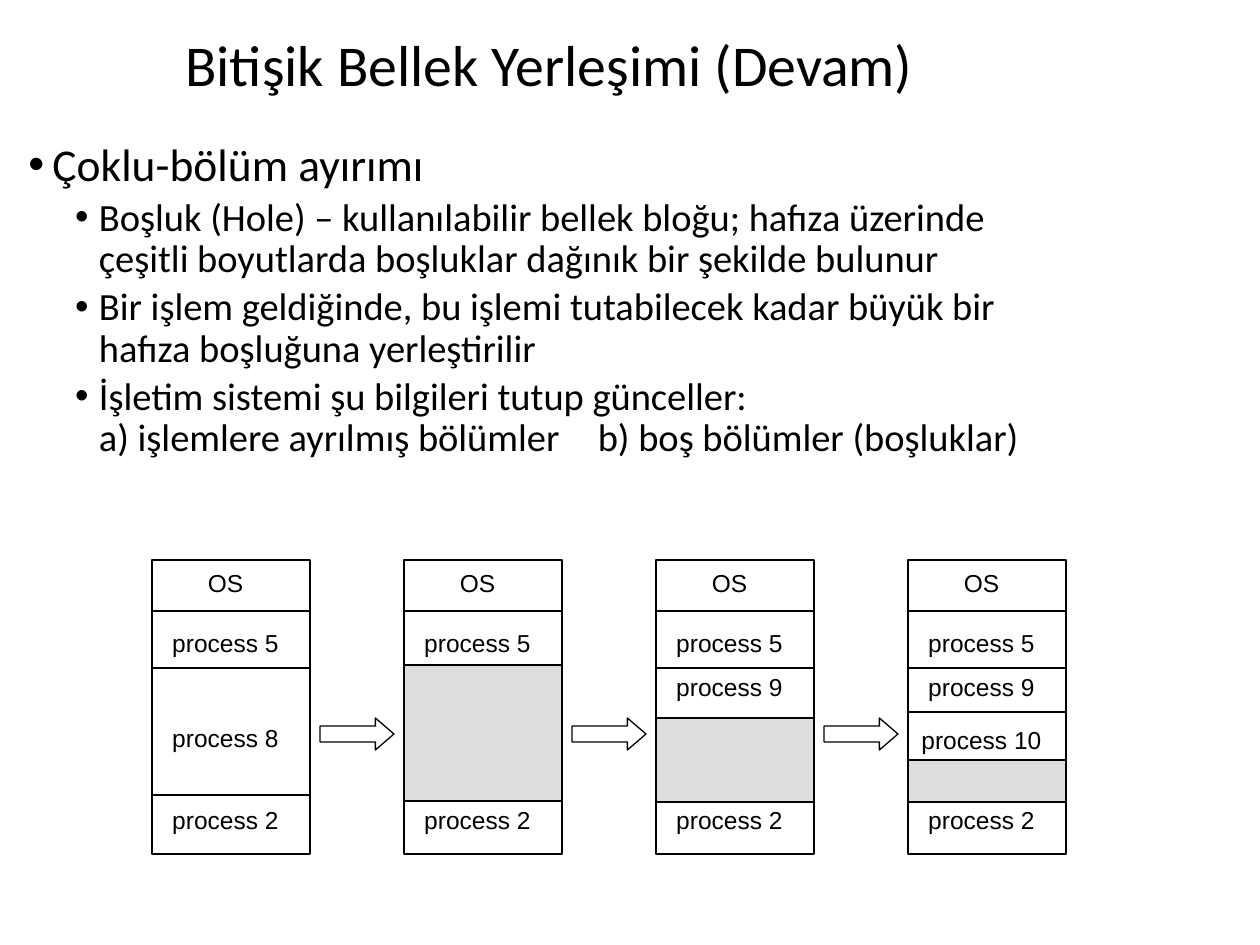
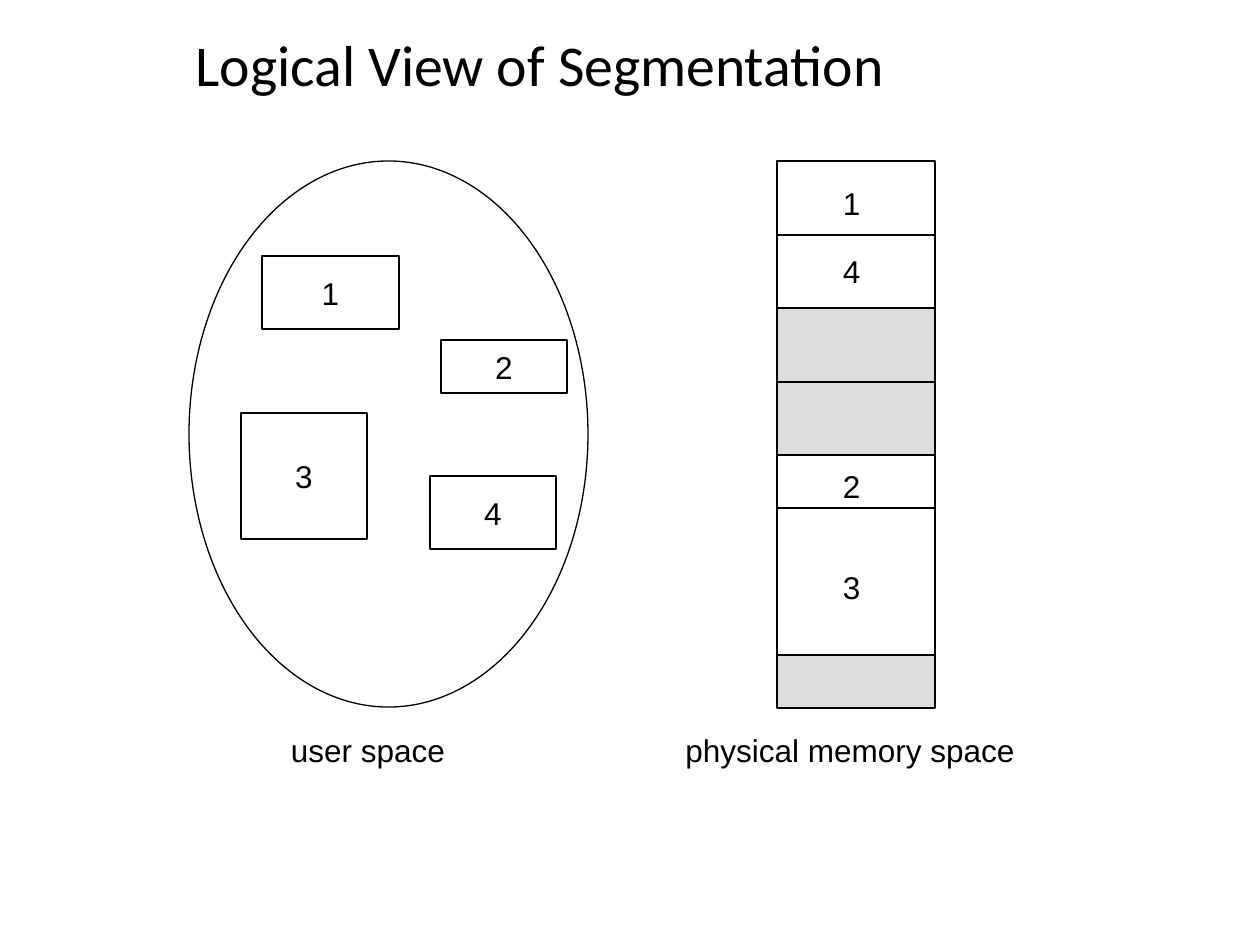
from lxml import etree
from pptx import Presentation
from pptx import util as u
from pptx.dml.color import RGBColor
from pptx.enum import shapes, text
from pptx.oxml import ns

SCALE = 914400 / 126  # EMU per pixel
BLACK, WHITE, FREE = "000000", "FFFFFF", "DDDDDD"
colour = RGBColor.from_string
RECT = shapes.MSO_SHAPE.RECTANGLE
MIDDLE, TOP = text.MSO_ANCHOR.MIDDLE, text.MSO_ANCHOR.TOP
CENTRE, LEFT = text.PP_ALIGN.CENTER, text.PP_ALIGN.LEFT

# Shared text styles: font, paragraph, frame
TITLE = ({"name": "Calibri", "size": u.Pt(33)},
         {"alignment": LEFT, "line_spacing": 0.9},
         {"word_wrap": True, "vertical_anchor": MIDDLE})
BODY = ({"name": "Calibri", "size": u.Pt(22)},
        {"alignment": LEFT, "line_spacing": 0.9, "space_before": u.Pt(3.7)},
        {"word_wrap": True, "vertical_anchor": TOP})
PROCESS = ({"name": "Arial", "size": u.Pt(14)},
           {"alignment": CENTRE, "space_before": u.Pt(8.8)},
           {"word_wrap": True, "vertical_anchor": MIDDLE})
SEGMENT = ({"name": "Arial", "size": u.Pt(18)},
           {"alignment": CENTRE},
           {"word_wrap": False, "vertical_anchor": MIDDLE})


def add_box(area, at, kind=None, fill=WHITE, words="", style=SEGMENT):
    """Add an outlined shape, or a plain text box when no kind is given."""
    at = [round(length * SCALE) for length in at]
    if kind is None:
        box = area.add_textbox(*at)
    else:
        box = area.add_shape(kind, *at)
        box.shadow.inherit = False
        box.fill.solid()
        box.fill.fore_color.rgb = colour(fill)
        box.line.color.rgb = colour(BLACK)
        box.line.width = u.Pt(0.74)
    if words:
        font, paragraph_format, frame_format = style
        frame = box.text_frame
        frame.text = words
        targets = [(frame, frame_format)]
        for paragraph in frame.paragraphs:
            targets.append((paragraph, paragraph_format))
            for run in paragraph.runs:
                targets.append((run.font, font))
                run.font.color.rgb = colour(BLACK)
        for target, values in targets:
            for name, value in values.items():
                setattr(target, name, value)
    return box


def add_divider(area, left, y, width):
    """Add a thin horizontal line across a memory column."""
    ends = [round(length * SCALE) for length in (left, y, left + width, y)]
    line = area.add_connector(shapes.MSO_CONNECTOR.STRAIGHT, *ends)
    line.line.color.rgb = colour(BLACK)
    line.line.width = u.Pt(0.74)
    etree.SubElement(line._element.spPr, ns.qn("a:effectLst"))


deck = Presentation()
deck.slide_width, deck.slide_height = u.Inches(10), u.Inches(7.5)
blank = deck.slide_layouts[6]

# Slide titles
areas = []
for title, left in (("Bitişik Bellek Yerleşimi (Devam)", 173),
                    ("Logical View of Segmentation", 183)):
    area = deck.slides.add_slide(blank).shapes
    add_box(area, (left, 28, 1260 - left, 79), words=title, style=TITLE)
    areas.append(area)
allocation, segmentation = areas

# Slide 1: bulleted explanation
points = [
    "Çoklu-bölüm ayırımı",
    "Boşluk (Hole) – kullanılabilir bellek bloğu; hafıza üzerinde "
    "çeşitli boyutlarda boşluklar dağınık bir şekilde bulunur",
    "Bir işlem geldiğinde, bu işlemi tutabilecek kadar büyük bir "
    "hafıza boşluğuna yerleştirilir",
    "İşletim sistemi şu bilgileri tutup günceller:\v"
    "a) işlemlere ayrılmış bölümler\u2003b) boş bölümler (boşluklar)",
]
body = add_box(allocation, (16, 136, 1038, 359), words="\n".join(points), style=BODY)
for number, paragraph in enumerate(body.text_frame.paragraphs):
    paragraph.level = min(number, 1)
    margins = paragraph._p.get_or_add_pPr()
    margins.set("marL", str(u.Inches(0.56 if number else 0.19)))
    margins.set("indent", str(u.Inches(-0.19)))
    etree.SubElement(margins, ns.qn("a:buFont"), typeface="Arial")
    etree.SubElement(margins, ns.qn("a:buChar"), char="•")
heading = body.text_frame.paragraphs[0]
heading.space_before = u.Pt(7.5)
heading.runs[0].font.size = u.Pt(26)

# Slide 1: memory states as (dividers, hole top and bottom, labels with tops)
fixed = {"OS": 561, "process 5": 621, "process 2": 798}
states = [
    ((611, 668, 795), None, {"process 8": 716}),
    ((611,), (665, 801), {}),
    ((611, 668), (718, 802), {"process 9": 665}),
    ((611, 668, 712), (760, 802), {"process 9": 665, "process 10": 718}),
]
COLUMN_WIDTH, PITCH = 158, 252
for number, (dividers, hole, extra) in enumerate(states):
    left = 152 + number * PITCH
    add_box(allocation, (left, 560, COLUMN_WIDTH, 294), RECT)
    for y in dividers:
        add_divider(allocation, left, y, COLUMN_WIDTH)
    if hole:
        add_box(allocation, (left, hole[0], COLUMN_WIDTH, hole[1] - hole[0]), RECT, FREE)
    for words, top in {**fixed, **extra}.items():
        add_box(allocation, (left, top, 147, 43), words=words, style=PROCESS)
    if number:
        arrow = add_box(allocation, (left - 84, 718, 74, 32), shapes.MSO_SHAPE.RIGHT_ARROW)
        arrow.adjustments[0], arrow.adjustments[1] = 0.5, 0.58

# Slide 2: user space with its segments
add_box(segmentation, (189, 161, 399, 546), shapes.MSO_SHAPE.OVAL)
for words, at in (("1", (262, 256, 137, 73)), ("3", (241, 413, 126, 126)),
                  ("2", (441, 340, 126, 53)), ("4", (430, 476, 126, 73))):
    add_box(segmentation, at, RECT, words=words)

# Slide 2: physical memory
memory = segmentation.add_group_shape().shapes
edges = (161, 308, 455, 655, 708)
for number, (top, bottom) in enumerate(zip(edges, edges[1:])):
    add_box(memory, (777, top, COLUMN_WIDTH, bottom - top), RECT, (WHITE, FREE)[number % 2])
for y in (235, 382, 508):
    add_divider(memory, 777, y, COLUMN_WIDTH)
for words, top in (("1", 178), ("4", 246), ("2", 461), ("3", 562)):
    add_box(memory, (830, top, 43, 50), words=words)

# Slide 2: captions
for words, left, width in (("user space", 274, 188), ("physical memory space", 673, 354)):
    add_box(segmentation, (left, 725, width, 50), words=words)

deck.save("out.pptx")
